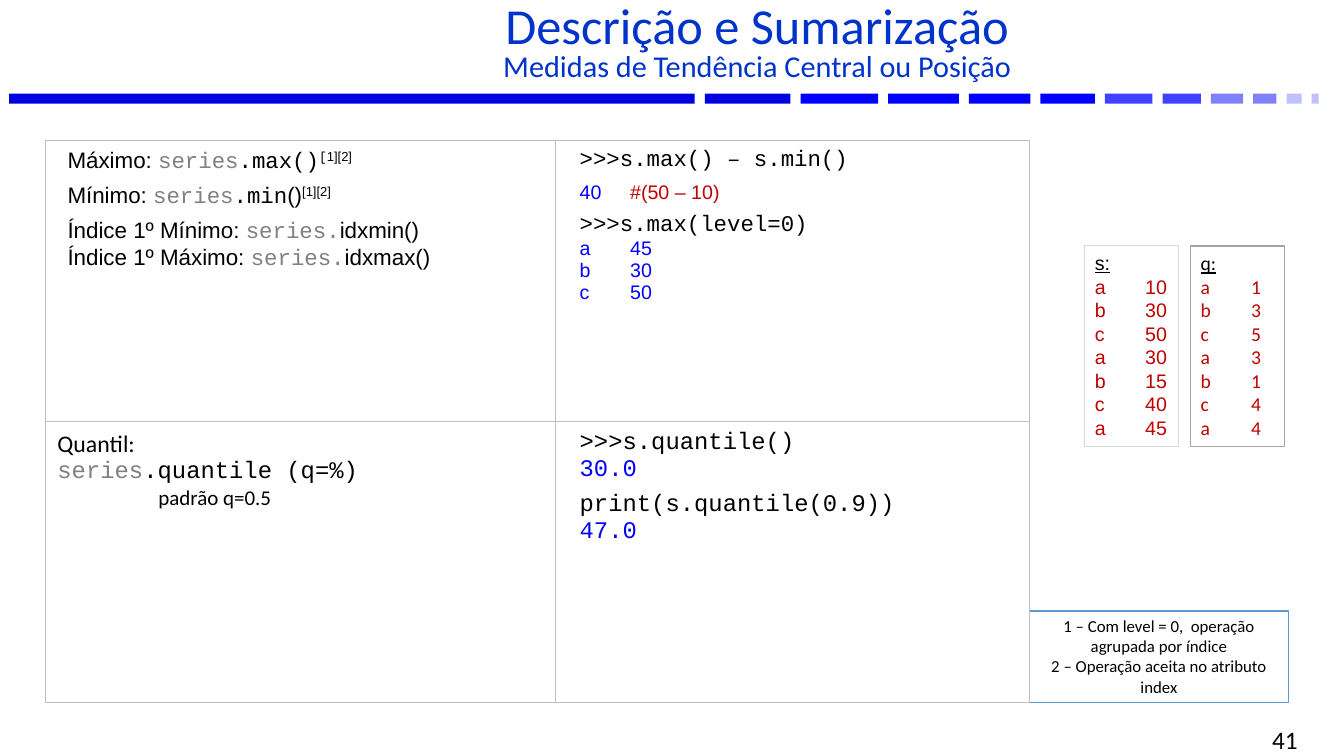
"""Build the slide on measures of central tendency and position."""
from dataclasses import dataclass

from lxml.etree import SubElement
from pptx import Presentation
from pptx.dml.color import RGBColor
from pptx.enum.shapes import MSO_SHAPE
from pptx.enum.text import MSO_ANCHOR, MSO_AUTO_SIZE, PP_ALIGN
from pptx.oxml.ns import qn
from pptx.util import Inches, Pt

BLACK = RGBColor(0x00, 0x00, 0x00)
WHITE = RGBColor(0xFF, 0xFF, 0xFF)
GRAY = RGBColor(0x80, 0x80, 0x80)
BLUE = RGBColor(0x00, 0x00, 0xFF)
RED = RGBColor(0xC0, 0x00, 0x00)
TITLE_BLUE = RGBColor(0x00, 0x33, 0xCC)
NOTE_BLUE = RGBColor(0x5B, 0x9B, 0xD5)
LIGHT_LINE = RGBColor(0xD9, 0xD9, 0xD9)
MID_LINE = RGBColor(0xA5, 0xA5, 0xA5)
GRID_LINE = RGBColor(0xBF, 0xBF, 0xBF)
BAR_COLORS = [RGBColor(0x00, 0x00, 0xE0), BLUE, BLUE, RGBColor(0x40, 0x40, 0xFF),
              RGBColor(0x80, 0x80, 0xFF), RGBColor(0xC0, 0xC0, 0xFF)]
BAR_WIDTHS = [6.8, 0.85, 0.77, 0.7, 0.61, 0.54, 0.47, 0.38, 0.32, 0.23, 0.15, 0.07]
BAR_GAP = 0.1
SANS, BODY, MONO = "Arial", "Calibri", "Courier New"


@dataclass
class Run:
    """A stretch of text in one format."""
    text: str
    size: float = 16
    font: str = SANS
    color: RGBColor = BLACK
    underline: bool = False
    raised: bool = False


@dataclass
class Para:
    """A paragraph made of runs; lengths are in inches, spacing in points."""
    runs: list
    before: float = 0
    margin: float = 0
    indent: float = 0
    tab: float = 0
    align: PP_ALIGN = PP_ALIGN.LEFT
    spacing: float = 1.0


def write(tf, paras):
    """Fill a text frame with paragraphs, run by run."""
    for i, para in enumerate(paras):
        p = tf.add_paragraph() if i else tf.paragraphs[0]
        p.alignment = para.align
        p.space_before = Pt(para.before)
        p.line_spacing = para.spacing
        pPr = p._p.get_or_add_pPr()
        pPr.set("marL", str(Inches(para.margin)))
        pPr.set("indent", str(Inches(para.indent)))
        if para.tab:
            tabs = SubElement(pPr, qn("a:tabLst"))
            SubElement(tabs, qn("a:tab"), pos=str(Inches(para.tab)), algn="l")
        for run in para.runs:
            if run is None:
                p.add_line_break()
                continue
            r = p.add_run()
            r.text = run.text
            r.font.size = Pt(run.size)
            r.font.name = run.font
            r.font.color.rgb = run.color
            r.font.underline = run.underline
            if run.raised:
                r._r.get_or_add_rPr().set("baseline", "30000")


def add_text(slide, box, paras):
    """Place a vertically centred text box."""
    tf = slide.shapes.add_textbox(*map(Inches, box)).text_frame
    tf.word_wrap = True
    tf.vertical_anchor = MSO_ANCHOR.MIDDLE
    write(tf, paras)


def add_rect(slide, box, fill=None, line=None, width=1.0):
    """Place a plain rectangle."""
    sp = slide.shapes.add_shape(MSO_SHAPE.RECTANGLE, *map(Inches, box))
    sp.shadow.inherit = False
    if fill is None:
        sp.fill.background()
    else:
        sp.fill.solid()
        sp.fill.fore_color.rgb = fill
    if line is None:
        sp.line.fill.background()
    else:
        sp.line.color.rgb = line
        sp.line.width = Pt(width)
    return sp


def add_panel(slide, box, paras, fill, line, width=1.0):
    """Place an outlined rectangle that holds text."""
    tf = add_rect(slide, box, fill, line, width).text_frame
    tf.word_wrap = True
    tf.vertical_anchor = MSO_ANCHOR.TOP
    tf.auto_size = MSO_AUTO_SIZE.SHAPE_TO_FIT_TEXT
    write(tf, paras)


def add_bars(slide, box):
    """Draw the fading row of bars under the title."""
    left, top, _, height = box
    for i, width in enumerate(BAR_WIDTHS):
        add_rect(slide, (left, top, width, height), BAR_COLORS[i // 2])
        left += width + BAR_GAP


def add_series(slide, box, name, values, font, tab, fill, line, width):
    """List a named series with its index letters."""
    paras = [Para([Run(f"{name}:", 14, font, underline=True)])]
    paras += [Para([Run(f"{key}\t{value}", 14, font, RED)], tab=tab)
              for key, value in zip("abcabca", values)]
    add_panel(slide, box, paras, fill, line, width)


def method_cells():
    """Return the rows of the methods table as paragraphs."""
    series, refs = Run("series", font=MONO, color=GRAY), Run("[1][2]", raised=True)
    series_dot = Run("series.", font=MONO, color=GRAY)
    extremes = [
        Para([Run("Máximo: "), series, Run(".max()", font=MONO),
              Run("[", font=MONO, raised=True), Run("1][2]", raised=True)], 12, indent=0.1),
        Para([Run("Mínimo: "), series, Run(".min", font=MONO), Run("()"), refs], 6, indent=0.1),
        Para([Run("Índice 1º Mínimo: "), series_dot, Run("idxmin()")], 6, indent=0.1),
        Para([Run("Índice 1º Máximo: "), series_dot, Run("idxmax()")], indent=0.1),
    ]
    extremes_demo = [
        Para([Run(">>>s.max() – s.min()", font=MONO)], 6),
        Para([Run("40\t", 14, color=BLUE), Run("#(50 – 10)", 14, color=RED)], 6, tab=2),
        Para([Run(">>>s.max(level=0)", font=MONO)], 6),
    ] + [Para([Run(f"{key}\t{value}", 14, color=BLUE)], tab=0.32)
         for key, value in zip("abc", (45, 30, 50))]
    quantile = [
        Para([Run("Quantil:", 17, BODY)]),
        Para([Run("series", 17, MONO, GRAY), Run(".quantile (q=%)", 17, MONO)]),
        Para([Run("padrão q=0.5", 15, BODY)], margin=1),
    ]
    quantile_demo = [
        Para([Run(text, 17, MONO, color)], before, 0.5, -0.5)
        for text, color, before in ((">>>s.quantile()", BLACK, 0), ("30.0", BLUE, 0),
                                    ("print(s.quantile(0.9))", BLACK, 6), ("47.0", BLUE, 0))]
    return [[extremes, extremes_demo], [quantile, quantile_demo]]


def add_methods(slide, box):
    """Place the table of methods and examples."""
    width, height = box[2:]
    table = slide.shapes.add_table(2, 2, *map(Inches, box)).table
    table.first_row = table.horz_banding = False
    table.columns[0].width = Inches(5.06)
    table.columns[1].width = Inches(width - 5.06)
    for i, row in enumerate(method_cells()):
        table.rows[i].height = Inches(height / 2)
        for j, paras in enumerate(row):
            cell = table.cell(i, j)
            cell.margin_left = Inches((0.12, 0.24)[j])
            cell.margin_top = Inches(0.08)
            cell.margin_right = cell.margin_bottom = 0
            tcPr = cell._tc.get_or_add_tcPr()
            for side in "LRTB":
                ln = SubElement(tcPr, qn(f"a:ln{side}"), w=str(Pt(0.25)))
                fill = SubElement(ln, qn("a:solidFill"))
                SubElement(fill, qn("a:srgbClr"), val=str(GRID_LINE))
            cell.fill.background()
            write(cell.text_frame, paras)


def main():
    """Build and save the presentation."""
    prs = Presentation()
    prs.slide_width, prs.slide_height = Inches(13.33), Inches(7.5)
    slide = prs.slides.add_slide(prs.slide_layouts[6])
    add_bars(slide, (0.09, 0.93, 12.99, 0.1))
    add_text(slide, (1.94, 0.06, 11.14, 0.77), [
        Para([Run("Descrição e Sumarização", 36, BODY, TITLE_BLUE), None,
              Run("Medidas de Tendência Central ou Posição", 21.6, BODY, TITLE_BLUE)],
             6, align=PP_ALIGN.CENTER, spacing=0.8)])
    add_text(slide, (9.86, 7.23, 3.11, 0.22),
             [Para([Run("41", 18, BODY)], align=PP_ALIGN.RIGHT)])
    notes = ("1 – Com level = 0,  operação agrupada por índice",
             "2 – Operação aceita no atributo index")
    add_panel(slide, (10.21, 6.06, 2.57, 0.91),
              [Para([Run(note, 12, BODY)], align=PP_ALIGN.CENTER) for note in notes],
              WHITE, NOTE_BLUE)
    add_series(slide, (10.76, 2.44, 0.93, 1.99), "s", (10, 30, 50, 30, 15, 40, 45),
               SANS, 0.32, None, LIGHT_LINE, 0.75)
    add_series(slide, (11.81, 2.44, 0.93, 1.99), "q", (1, 3, 5, 3, 1, 4, 4),
               BODY, 0.27, WHITE, MID_LINE, 1)
    add_methods(slide, (0.45, 1.39, 9.76, 5.58))
    prs.save("out.pptx")


if __name__ == "__main__":
    main()
